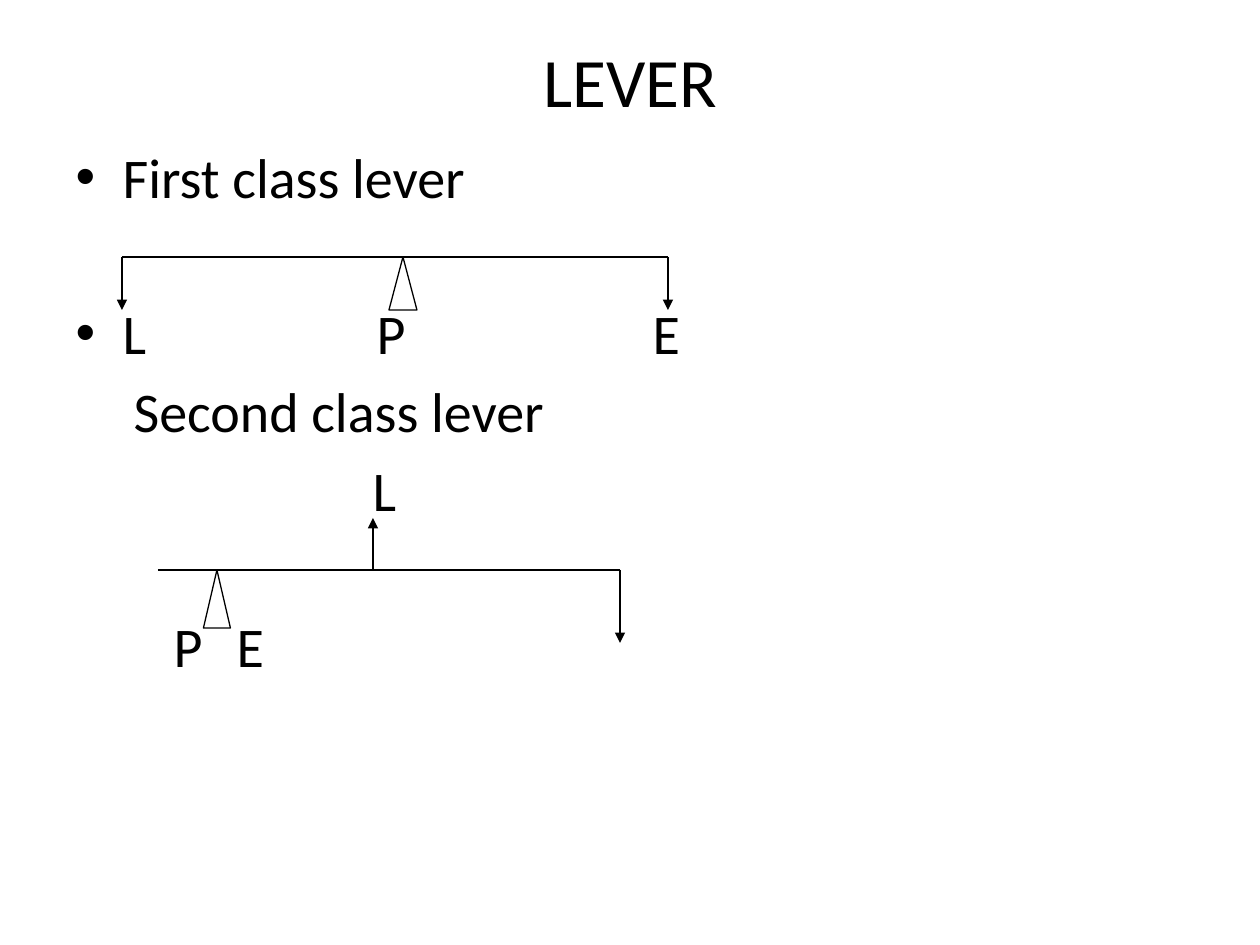
from pptx import Presentation
from pptx.dml.color import RGBColor
from pptx.enum.shapes import MSO_CONNECTOR, MSO_SHAPE
from pptx.enum.text import MSO_ANCHOR, MSO_AUTO_SIZE, PP_ALIGN
from pptx.oxml.ns import qn
from pptx.util import Pt
from lxml import etree

EMU_PER_PX = 914400 // 126
STRAIGHT, TRIANGLE = MSO_CONNECTOR.STRAIGHT, MSO_SHAPE.ISOSCELES_TRIANGLE
MIDDLE, TOP, NO_FIT = MSO_ANCHOR.MIDDLE, MSO_ANCHOR.TOP, MSO_AUTO_SIZE.NONE
CENTER = PP_ALIGN.CENTER
FONT, INK, PAPER = "Calibri", "000000", "FFFFFF"
BULLET_INDENT = 47
SKIPPED_LINE = 50.7  # points before a line that follows a drawing

TITLE = "LEVER"
# text, bulleted, left indent in px, tab stops in px, follows a drawing
LINES = [
    ("First class lever", True, BULLET_INDENT, [], False),
    ("L\tP\tE", True, BULLET_INDENT, [301, 577], True),
    ("Second class lever", False, 58, [], False),
    ("L", False, 297, [], False),
    ("P\tE", False, 98, [435], True),
]
# beam: left, right, y; fulcrum: centre x, width, height; forces: x, tip y
LEVERS = [
    {"beam": (158, 620, 570), "fulcrum": (217, 27, 58),
     "forces": [(620, 643), (373, 518)]},
    {"beam": (122, 668, 257), "fulcrum": (403, 28, 53),
     "forces": [(122, 310), (668, 310)]},
]


def px(length):
    return round(length * EMU_PER_PX)


def color(value):
    return RGBColor.from_string(value)


def place(shape, left, top, width, height):
    shape.left, shape.top = px(left), px(top)
    shape.width, shape.height = px(width), px(height)


def style(para, size):
    for span in para.runs:
        span.font.name, span.font.size = FONT, Pt(size)
        span.font.color.rgb = color(INK)


def set_layout(para, bulleted, indent, stops):
    """Set the indent, bullet and tab stops of a paragraph."""
    props = para._p.get_or_add_pPr()
    props.set("marL", str(px(indent)))
    props.set("indent", str(-px(indent) if bulleted else 0))
    if bulleted:
        etree.SubElement(props, qn("a:buChar"), char="•")
    else:
        etree.SubElement(props, qn("a:buNone"))
    if stops:
        tabs = etree.SubElement(props, qn("a:tabLst"))
        for stop in stops:
            etree.SubElement(tabs, qn("a:tab"), pos=str(px(stop)), algn="l")


def add_line(shapes, start, end, arrow=False):
    line = shapes.add_connector(STRAIGHT, *map(px, start + end))
    line.line.color.rgb, line.line.width = color(INK), Pt(0.75)
    if arrow:
        etree.SubElement(line.line._get_or_add_ln(), qn("a:tailEnd"), type="triangle")
    etree.SubElement(line._element.spPr, qn("a:effectLst"))


def add_lever(page, lever):
    shapes = page.shapes.add_group_shape().shapes
    left, right, y = lever["beam"]
    add_line(shapes, (left, y), (right, y))
    center, width, height = lever["fulcrum"]
    fulcrum = shapes.add_shape(
        TRIANGLE, px(center - width / 2), px(y), px(width), px(height))
    fulcrum.shadow.inherit = False
    fulcrum.fill.solid()
    fulcrum.fill.fore_color.rgb = color(PAPER)
    fulcrum.line.color.rgb, fulcrum.line.width = color(INK), Pt(0.75)
    for x, tip in lever["forces"]:
        add_line(shapes, (x, y), (x, tip), arrow=True)


def main():
    deck = Presentation()
    deck.slide_width, deck.slide_height = px(1260), px(945)
    page = deck.slides.add_slide(deck.slide_layouts[1])

    title = page.shapes.title
    place(title, 63, 38, 1134, 157)
    frame = title.text_frame
    frame.text = TITLE
    frame.auto_size, frame.vertical_anchor = NO_FIT, MIDDLE
    frame.margin_bottom = px(79)
    frame.paragraphs[0].alignment = CENTER
    style(frame.paragraphs[0], 39.6)

    body = page.placeholders[1]
    place(body, 63, 136, 1134, 788)
    frame = body.text_frame
    frame.text = "\n".join(line[0] for line in LINES)
    frame.auto_size, frame.vertical_anchor = NO_FIT, TOP
    for para, (_, bulleted, indent, stops, after_drawing) in zip(frame.paragraphs, LINES):
        if after_drawing:
            para.space_before = Pt(SKIPPED_LINE)
        set_layout(para, bulleted, indent, stops)
        style(para, 32)

    for lever in LEVERS:
        add_lever(page, lever)
    deck.save("out.pptx")


if __name__ == "__main__":
    main()
